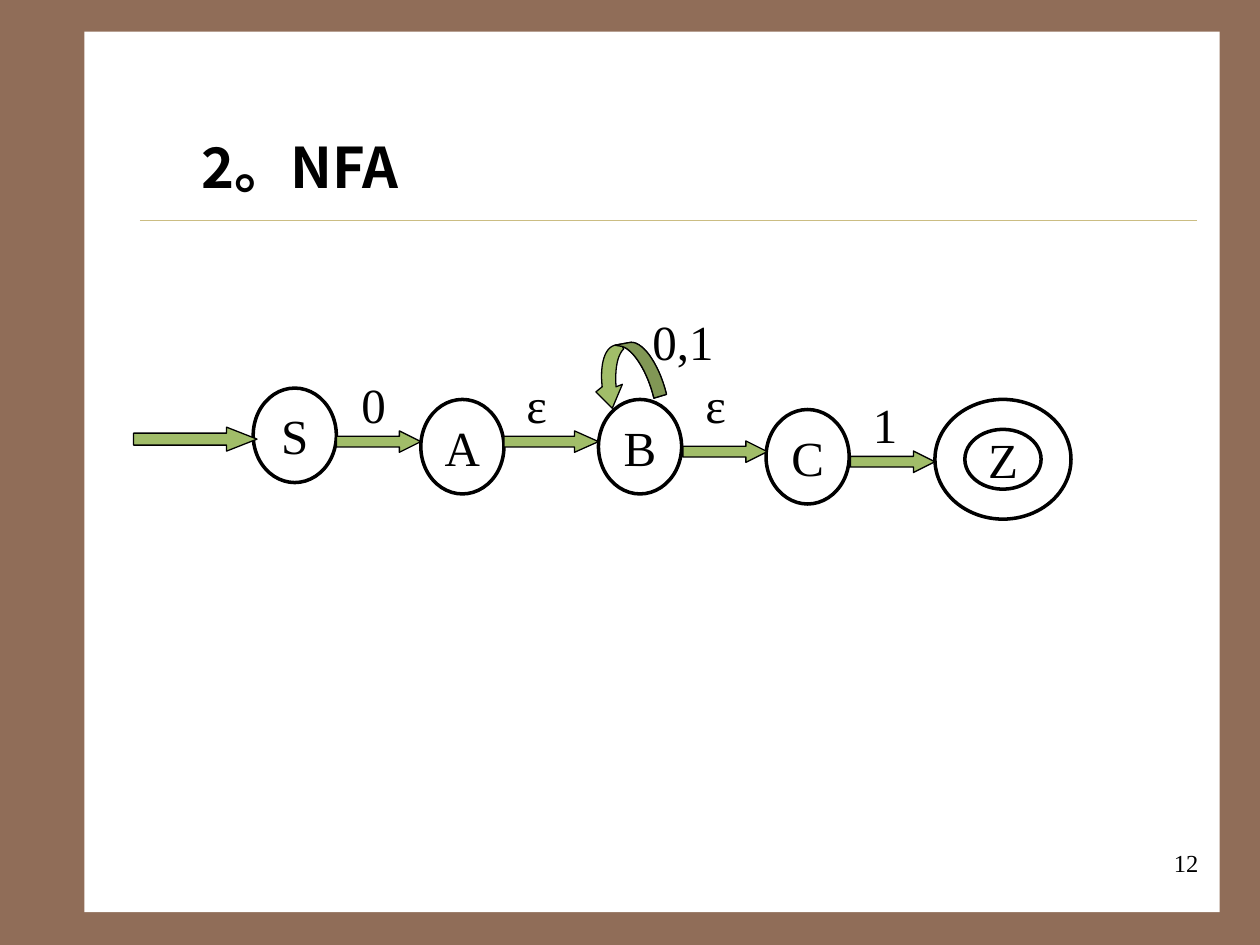
import lxml.etree
import pptx
import pptx.dml.color
import pptx.enum.shapes
import pptx.enum.text
import pptx.oxml.ns
import pptx.util

Inches = pptx.util.Inches
Pt = pptx.util.Pt
SHAPE = pptx.enum.shapes.MSO_SHAPE
ALIGN = pptx.enum.text.PP_ALIGN
ANCHOR = pptx.enum.text.MSO_ANCHOR

BLACK, WHITE, BROWN = "000000", "FFFFFF", "906D58"
GREEN, DARK_GREEN, RULE = "A1BD69", "819755", "CBBD83"
SERIF, SANS = "Times New Roman", "Noto Sans CJK SC"

STATES = [
    ("S", 0.95, 0.66, 0.66, 0.75, SHAPE.OVAL),
    ("A", 2.28, 0.75, 0.66, 0.75, SHAPE.OVAL),
    ("B", 3.69, 0.75, 0.66, 0.75, SHAPE.OVAL),
    ("C", 5.02, 0.83, 0.66, 0.75, SHAPE.OVAL),
    ("Z", 6.36, 0.75, 1.08, 0.95, SHAPE.DONUT),
]
ARROWS = [
    (0, 0.97, 0.98, 0.19, 1.27),
    (1.61, 1, 0.67, 0.17, 1),
    (2.94, 1, 0.75, 0.17, 1.12),
    (4.36, 1.08, 0.67, 0.17, 1),
    (5.69, 1.16, 0.67, 0.17, 1),
]
LABELS = [
    ("0", 1.71, 0.5, 0.48),
    ("ε", 3.02, 0.5, 0.48),
    ("ε", 4.44, 0.5, 0.48),
    ("1", 5.77, 0.66, 0.31),
    ("0,1", 4.02, 0, 1.17),
]


def color(value):
    """Return the RGB color for a hex string."""
    return pptx.dml.color.RGBColor.from_string(value)


def write(shape, text, size=28, font=SERIF, bold=False, align=ALIGN.LEFT,
          anchor=ANCHOR.TOP, wrap=True):
    """Put one formatted paragraph in a shape."""
    frame = shape.text_frame
    frame.word_wrap = wrap
    frame.vertical_anchor = anchor
    paragraph = frame.paragraphs[0]
    paragraph.alignment = align
    run = paragraph.add_run()
    run.text = text
    run.font.size = Pt(size)
    run.font.name = font
    run.font.bold = bold
    run.font.color.rgb = color(BLACK)
    east_asian = lxml.etree.SubElement(run.font._element, pptx.oxml.ns.qn("a:ea"))
    east_asian.set("typeface", font)


def add_text(slide, text, left, top, width, height, **style):
    """Add a text box."""
    box = slide.shapes.add_textbox(
        Inches(left), Inches(top), Inches(width), Inches(height))
    write(box, text, **style)


def paint(shape, fill=None, line=None, weight=0.75):
    """Set the fill and outline of a shape and drop its shadow."""
    shape.shadow.inherit = False
    if fill:
        shape.fill.solid()
        shape.fill.fore_color.rgb = color(fill)
    else:
        shape.fill.background()
    if line:
        shape.line.color.rgb = color(line)
        shape.line.width = Pt(weight)
    else:
        shape.line.fill.background()


def add_shape(slide, kind, left, top, width, height, **style):
    """Add a painted preset shape."""
    shape = slide.shapes.add_shape(
        kind, Inches(left), Inches(top), Inches(width), Inches(height))
    paint(shape, **style)
    return shape


def curve(start, control_a, control_b, end, steps=16):
    """Return points along a cubic curve, without its start."""
    points = []
    for step in range(1, steps + 1):
        t = step / steps
        weights = ((1 - t) ** 3, 3 * t * (1 - t) ** 2, 3 * t * t * (1 - t), t ** 3)
        knots = (start, control_a, control_b, end)
        points.append(tuple(
            sum(weight * knot[axis] for weight, knot in zip(weights, knots))
            for axis in (0, 1)))
    return points


def add_outline(slide, left, top, points, fill):
    """Add a closed freeform from points relative to a corner."""
    placed = [(Inches(left + x), Inches(top + y)) for x, y in points]
    builder = slide.shapes.build_freeform(*placed[0])
    builder.add_line_segments(placed[1:], close=True)
    paint(builder.convert_to_shape(), fill=fill, line=BLACK)


def add_loop(slide, left, top):
    """Draw the curved self-loop arrow with its shaded far side."""
    tail, crest, fold = (0.56, 0.41), (0.26, 0), (0.15, 0.02)
    outer = [tail] + curve(tail, (0.5, 0.16), (0.36, -0.03), crest) + [fold]
    inner = [(0.21, 0.03)] + curve((0.21, 0.03), (0.3, 0.06), (0.41, 0.23), (0.46, 0.44))
    head = curve(fold, (0.07, 0.04), (0.03, 0.17), (0.05, 0.35))
    head += [(0, 0.39), (0.13, 0.52), (0.21, 0.33), (0.16, 0.35)]
    head += curve((0.16, 0.35), (0.15, 0.21), (0.17, 0.1), (0.22, 0.05))
    add_outline(slide, left, top, outer + head + inner, GREEN)
    add_outline(slide, left, top, outer + inner, DARK_GREEN)


def add_frame(slide, left, top, width, height):
    """Draw the white page, the rule under the title and the page number."""
    add_shape(slide, SHAPE.RECTANGLE, left, top, width, height, fill=WHITE)
    rule = slide.shapes.add_connector(
        pptx.enum.shapes.MSO_CONNECTOR.STRAIGHT,
        Inches(left + 0.44), Inches(top + 1.5),
        Inches(left + 8.83), Inches(top + 1.5))
    rule.line.color.rgb = color(RULE)
    rule.line.width = Pt(0.25)
    lxml.etree.SubElement(rule._element.spPr, pptx.oxml.ns.qn("a:effectLst"))
    add_text(slide, "12", left + 6.86, top + 6.43, 2.08, 0.5,
             size=14, align=ALIGN.RIGHT)


def add_automaton(slide, left, top):
    """Draw the states, transitions and labels of the automaton."""
    for name, x, y, width, height, kind in STATES:
        state = add_shape(slide, kind, left + x, top + y, width, height,
                          line=BLACK, weight=2)
        write(state, name, align=ALIGN.CENTER, anchor=ANCHOR.MIDDLE, wrap=False)
    add_loop(slide, left + 3.67, top + 0.3)
    for x, y, width, height, head in ARROWS:
        arrow = add_shape(slide, SHAPE.RIGHT_ARROW, left + x, top + y, width, height,
                          fill=GREEN, line=BLACK)
        arrow.adjustments[1] = head
    for text, x, y, width in LABELS:
        add_text(slide, text, left + x, top + y, width, 0.57)


def main():
    """Build the slide and save it."""
    presentation = pptx.Presentation()
    presentation.slide_width = Inches(10)
    presentation.slide_height = Inches(7.5)
    slide = presentation.slides.add_slide(presentation.slide_layouts[6])
    slide.background.fill.solid()
    slide.background.fill.fore_color.rgb = color(BROWN)
    add_frame(slide, 0.67, 0.25, 9.01, 6.99)
    add_text(slide, "2。NFA", 1.5, 1, 6, 0.64, size=32, font=SANS, bold=True)
    add_automaton(slide, 1.06, 2.42)
    presentation.save("out.pptx")


if __name__ == "__main__":
    main()
